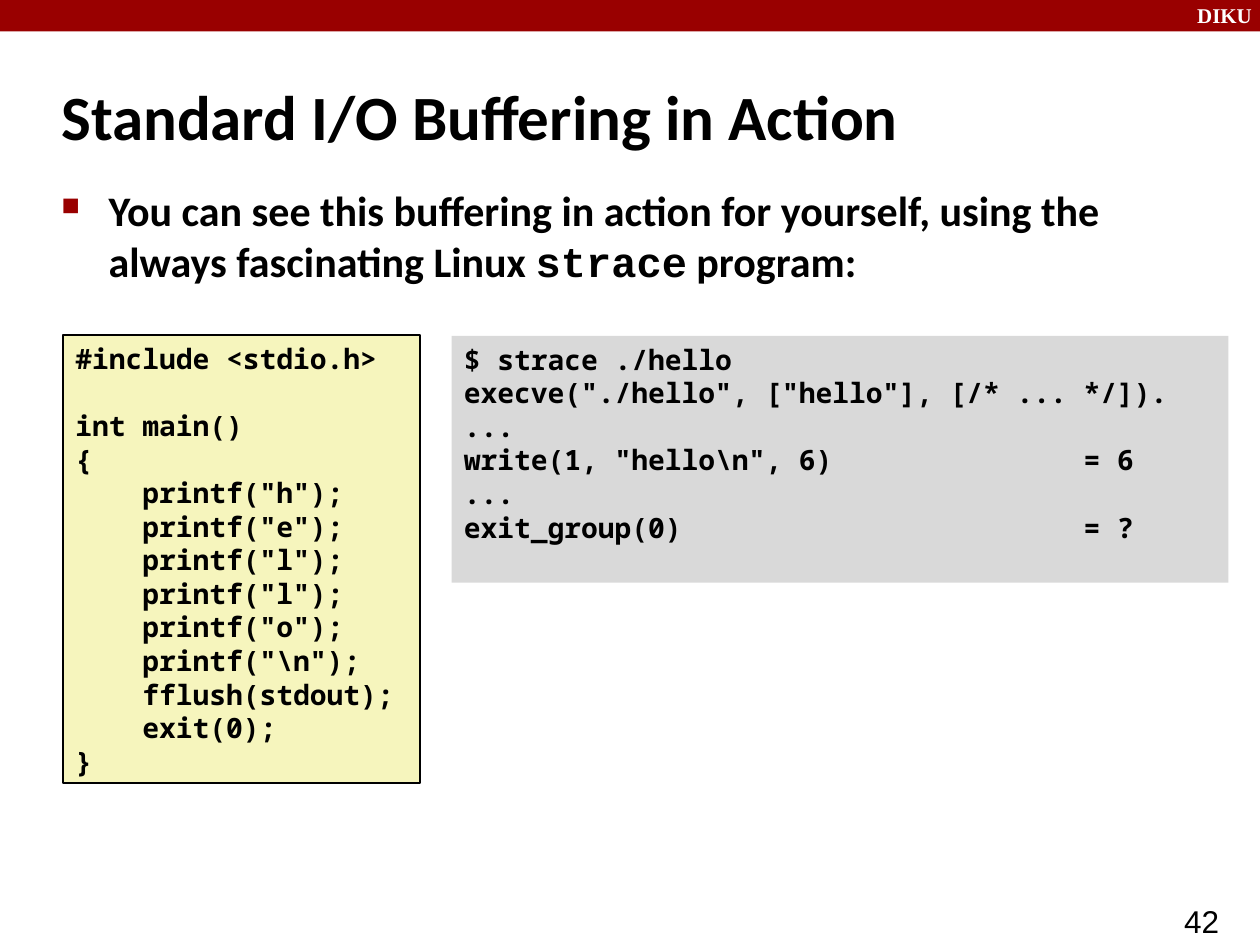
from lxml import etree
from pptx import Presentation
from pptx.dml.color import RGBColor
from pptx.enum.shapes import MSO_SHAPE
from pptx.enum.text import MSO_ANCHOR, PP_ALIGN
from pptx.oxml.ns import qn
from pptx.util import Pt

RECTANGLE = MSO_SHAPE.RECTANGLE
TOP, MIDDLE = MSO_ANCHOR.TOP, MSO_ANCHOR.MIDDLE
LEFT = PP_ALIGN.LEFT

RED, BLACK, WHITE = "990000", "000000", "FFFFFF"
GRAY, YELLOW = "D9D9D9", "F6F5BD"

PROGRAM = r"""#include <stdio.h>

int main()
{
    printf("h");
    printf("e");
    printf("l");
    printf("l");
    printf("o");
    printf("\n");
    fflush(stdout);
    exit(0);
}"""

TRACE = r"""$ strace ./hello
execve("./hello", ["hello"], [/* ... */]).
...
write(1, "hello\n", 6)               = 6
...
exit_group(0)                        = ?"""


def color(value):
    """Return the colour for a hex string."""
    return RGBColor.from_string(value)


def add_text(paragraph, text, font="Calibri", size=24, bold=True, fill=BLACK):
    """Append a formatted run to a paragraph."""
    run = paragraph.add_run()
    run.text = text
    run.font.name = font
    run.font.size = Pt(size)
    run.font.bold = bold
    run.font.color.rgb = color(fill)


def add_box(slide, box, anchor=TOP, wrap=True):
    """Add a text box and return its first paragraph."""
    frame = slide.shapes.add_textbox(*map(Pt, box)).text_frame
    frame.word_wrap = wrap
    frame.vertical_anchor = anchor
    return frame.paragraphs[0]


def add_panel(slide, box, fill, line=None):
    """Add a filled rectangle with an optional outline."""
    shape = slide.shapes.add_shape(RECTANGLE, *map(Pt, box))
    shape.shadow.inherit = False
    shape.fill.solid()
    shape.fill.fore_color.rgb = color(fill)
    if line:
        shape.line.color.rgb = color(line)
        shape.line.width = Pt(1)
    else:
        shape.line.fill.background()
    return shape


def add_bullet(paragraph, indent):
    """Give a paragraph a small red square bullet and a hanging indent."""
    properties = paragraph._p.get_or_add_pPr()
    properties.set("marL", str(Pt(indent)))
    properties.set("indent", str(-Pt(indent)))
    bullet_color = etree.SubElement(properties, qn("a:buClr"))
    etree.SubElement(bullet_color, qn("a:srgbClr"), val=RED)
    etree.SubElement(properties, qn("a:buSzPct"), val="60000")
    etree.SubElement(properties, qn("a:buChar"), char="■")


def add_header(slide, box):
    """Draw the top band with the department label at its right end."""
    left, top, width, height = box
    add_panel(slide, box, RED)
    label = add_box(slide, (left + width - 43, top - 2, 48, height + 4))
    add_text(label, "DIKU", font="Times New Roman", size=12, fill=WHITE)


def add_title(slide, box):
    """Write the slide title."""
    paragraph = add_box(slide, box, anchor=MIDDLE)
    add_text(paragraph, "Standard I/O Buffering in Action", size=36)


def add_body(slide, box):
    """Write the bulleted statement."""
    paragraph = add_box(slide, box)
    add_bullet(paragraph, 27)
    add_text(paragraph, "You can see this buffering in action for yourself, "
                        "using the always fascinating Linux ")
    add_text(paragraph, "strace", font="Courier New")
    add_text(paragraph, " program:")


def add_code(slide, box, code, fill, line=None):
    """Draw a code panel with one paragraph for each line of code."""
    frame = add_panel(slide, box, fill, line).text_frame
    frame.word_wrap = True
    frame.vertical_anchor = TOP
    for index, text in enumerate(code.splitlines()):
        paragraph = frame.add_paragraph() if index else frame.paragraphs[0]
        paragraph.alignment = LEFT
        paragraph.line_spacing = Pt(19.2)
        add_text(paragraph, text, font="Noto Sans Mono", size=16)


def add_page_number(slide, box):
    """Write the page number."""
    paragraph = add_box(slide, box, wrap=False)
    add_text(paragraph, "42", font="Arial", size=18, bold=False)


def main():
    """Build and save the presentation."""
    presentation = Presentation()
    presentation.slide_width, presentation.slide_height = Pt(720), Pt(540)
    slide = presentation.slides.add_slide(presentation.slide_layouts[6])
    add_header(slide, (0, 0, 720, 18))
    add_page_number(slide, (669.5, 512, 54, 21))
    add_title(slide, (28, 36, 598, 60))
    add_body(slide, (28, 102, 621, 392))
    add_code(slide, (258, 192, 444, 141), TRACE, GRAY)
    add_code(slide, (36, 191.5, 204, 256), PROGRAM, YELLOW, BLACK)
    presentation.save("out.pptx")


if __name__ == "__main__":
    main()
